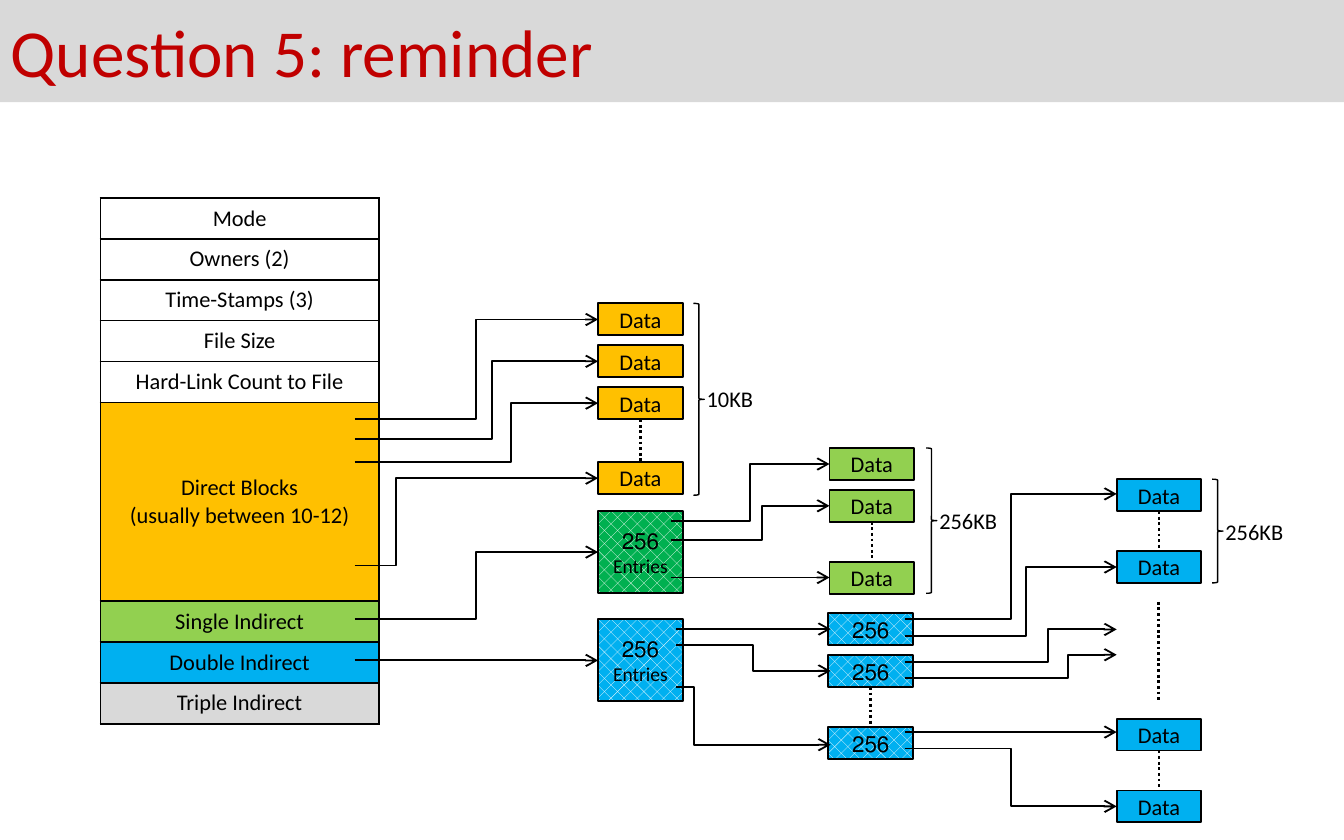
from lxml import etree
from pptx import Presentation
from pptx.dml.color import RGBColor
from pptx.enum.dml import MSO_LINE, MSO_PATTERN
from pptx.enum.shapes import MSO_CONNECTOR, MSO_SHAPE
from pptx.enum.text import MSO_ANCHOR, PP_ALIGN
from pptx.oxml.ns import qn
from pptx.util import Pt

RECT, BRACE = MSO_SHAPE.RECTANGLE, MSO_SHAPE.RIGHT_BRACE
STRAIGHT, ELBOW = MSO_CONNECTOR.STRAIGHT, MSO_CONNECTOR.ELBOW
DOTTED, LATTICE = MSO_LINE.ROUND_DOT, MSO_PATTERN.PERCENT_30
LEFT, CENTER, MIDDLE = PP_ALIGN.LEFT, PP_ALIGN.CENTER, MSO_ANCHOR.MIDDLE

BLACK, WHITE, GRAY, RED = "000000", "FFFFFF", "D9D9D9", "C00000"
ORANGE, LIME, GREEN, BLUE = "FFC000", "92D050", "00B050", "00B0F0"
FONT = "Calibri"

TITLE = "Question 5: reminder"

# label, fill
INODE_FIELDS = [
    ("Mode", WHITE),
    ("Owners (2)", WHITE),
    ("Time-Stamps (3)", WHITE),
    ("File Size", WHITE),
    ("Hard-Link Count to File", WHITE),
    ("Direct Blocks\n(usually between 10-12)", ORANGE),
    ("Single Indirect", LIME),
    ("Double Indirect", BLUE),
    ("Triple Indirect", GRAY),
]
INODE_LEFT, INODE_TOP, INODE_WIDTH = 53.8, 106.1, 149.2
FIELD_HEIGHT, DIRECT_HEIGHT = 21.9, 106.6

BLOCK_WIDTH, BLOCK_HEIGHT, INDEX_HEIGHT = 45.4, 17.1, 44
INDEX_LEFT = 320.4

# top, fill
INDEX_BLOCKS = [(273.7, GREEN), (331.8, BLUE)]

# label, left, fill, patterned, tops; a dotted line joins the last two blocks
BLOCK_COLUMNS = [
    ("Data", INDEX_LEFT, ORANGE, False, [162.5, 185, 207.5, 247.5]),
    ("Data", 444.4, LIME, False, [240, 262.4, 301]),
    ("256", 443.8, BLUE, True, [328.5, 351, 389.5]),
    ("Data", 598.2, BLUE, False, [256.7, 295.2]),
    ("Data", 598.2, BLUE, False, [385, 423.5]),
]
OMITTED_BLOCKS = (620.7, 322.4, 375)

# start x, end x, then (start y, bend x, end y); no bend on a level arrow
POINTERS = [
    (190, 320.4, [
        (224.5, 255, 171.2), (235.2, 263.7, 193.6), (247.6, 273.9, 216),
        (303, 212.3, 256.2), (331.8, 255, 295.8), (353.8, None, 353.8),
    ]),
    (359.7, 444.4, [
        (279.3, 402, 248.6), (289.4, 408.2, 271), (309.4, None, 309.4),
    ]),
    (362.3, 445, [
        (337, None, 337), (345.6, 403.6, 359.4), (368, 372, 399),
    ]),
    (484.8, 598.2, [
        (331.8, 541.5, 264.6), (340.8, 549.7, 303.8), (354.8, 561.6, 337.2),
        (363.4, 572.4, 350.8), (392.2, None, 392.2), (401, 541.5, 432),
    ]),
]

# label, left, top, height, label top, label width
BRACES = [
    ("10KB", 371.5, 162.5, 102.8, 202.5, 45),
    ("256KB", 496.1, 240, 77.9, 268, 51),
    ("256KB", 649.4, 256.7, 55.6, 273.8, 51),
]


def rgb(color):
    """Turn a hex string into a colour."""
    return RGBColor.from_string(color)


def write(frame, text, size=12, color=BLACK, align=CENTER, anchor=MIDDLE,
          last_size=None, rtl=False):
    """Fill a text frame or cell frame, one paragraph for each line."""
    frame.word_wrap = True
    frame.vertical_anchor = anchor
    frame.text = text
    for paragraph in frame.paragraphs:
        paragraph.alignment = align
        font = paragraph.runs[0].font
        font.name, font.size, font.color.rgb = FONT, Pt(size), rgb(color)
        if rtl:
            paragraph._p.get_or_add_pPr().set("rtl", "1")
    if last_size:
        frame.paragraphs[-1].runs[0].font.size = Pt(last_size)


def draw(kind, left, top, width, height, fill=None, line=1, patterned=False):
    """Add a preset shape with a black outline, or none when line is 0."""
    shape = slide.shapes.add_shape(kind, Pt(left), Pt(top), Pt(width), Pt(height))
    shape.shadow.inherit = False
    if patterned:
        shape.fill.patterned()
        shape.fill.pattern = LATTICE
        shape.fill.fore_color.rgb = rgb(WHITE)
        shape.fill.back_color.rgb = rgb(fill)
    elif fill:
        shape.fill.solid()
        shape.fill.fore_color.rgb = rgb(fill)
    else:
        shape.fill.background()
    if line:
        shape.line.color.rgb = rgb(BLACK)
        shape.line.width = Pt(line)
    else:
        shape.line.fill.background()
    return shape


def block(text, left, top, height, fill, patterned, **text_format):
    """Add one disk block with its label."""
    frame = draw(RECT, left, top, BLOCK_WIDTH, height, fill,
                 patterned=patterned).text_frame
    frame.margin_left = frame.margin_right = 0
    frame.margin_top = frame.margin_bottom = 0
    write(frame, text, rtl=True, **text_format)


def connect(kind, x1, y1, x2, y2, width):
    """Add a black connector without a shadow."""
    link = slide.shapes.add_connector(kind, Pt(x1), Pt(y1), Pt(x2), Pt(y2))
    link.line.color.rgb = rgb(BLACK)
    link.line.width = Pt(width)
    etree.SubElement(link._element.spPr, qn("a:effectLst"))
    return link


def pointer(x1, y1, bend, x2, y2):
    """Add an arrow that turns at the bend, if there is one."""
    link = connect(ELBOW if bend else STRAIGHT, x1, y1, x2, y2, 1)
    etree.SubElement(link.line._get_or_add_ln(), qn("a:tailEnd"), type="arrow")
    if bend:
        geometry = link._element.spPr.find(qn("a:prstGeom"))
        ratio = round((bend - x1) / (x2 - x1) * 100000)
        etree.SubElement(geometry.find(qn("a:avLst")), qn("a:gd"),
                         name="adj1", fmla=f"val {ratio}")


def dots(x, top, bottom):
    """Add a vertical dotted line for blocks left out."""
    connect(STRAIGHT, x, top, x, bottom, 1.5).line.dash_style = DOTTED


def border(cell):
    """Give a table cell thin black borders."""
    properties = cell._tc.get_or_add_tcPr()
    for side in ("lnL", "lnR", "lnT", "lnB"):
        edge = etree.SubElement(properties, qn(f"a:{side}"), w=str(Pt(1)))
        paint = etree.SubElement(edge, qn("a:solidFill"))
        etree.SubElement(paint, qn("a:srgbClr"), val=BLACK)


def inode_table():
    """Add the table of inode fields."""
    heights = [DIRECT_HEIGHT if "\n" in label else FIELD_HEIGHT
               for label, _ in INODE_FIELDS]
    inode = slide.shapes.add_table(
        len(INODE_FIELDS), 1, Pt(INODE_LEFT), Pt(INODE_TOP),
        Pt(INODE_WIDTH), Pt(sum(heights))).table
    inode.first_row = inode.horz_banding = False
    for row, height, (label, fill) in zip(inode.rows, heights, INODE_FIELDS):
        row.height = Pt(height)
        cell = row.cells[0]
        border(cell)
        cell.fill.solid()
        cell.fill.fore_color.rgb = rgb(fill)
        write(cell.text_frame, label)
        cell.vertical_anchor = MIDDLE


deck = Presentation()
deck.slide_width, deck.slide_height = Pt(720), Pt(450)
slide = deck.slides.add_slide(deck.slide_layouts[6])

banner = draw(RECT, -1.4, 0, 721.4, 54.7, GRAY, line=0)
write(banner.text_frame, TITLE, size=36, color=RED, align=LEFT)
inode_table()

for top, fill in INDEX_BLOCKS:
    block("256\nEntries", INDEX_LEFT, top, INDEX_HEIGHT, fill, True, last_size=10.5)

for label, left, fill, patterned, tops in BLOCK_COLUMNS:
    for top in tops:
        block(label, left, top, BLOCK_HEIGHT, fill, patterned)
    dots(left + BLOCK_WIDTH / 2, tops[-2] + BLOCK_HEIGHT, tops[-1])
dots(*OMITTED_BLOCKS)

for start_x, end_x, routes in POINTERS:
    for start_y, bend, end_y in routes:
        pointer(start_x, start_y, bend, end_x, end_y)

for label, left, top, height, label_top, label_width in BRACES:
    draw(BRACE, left, top, 5.8, height, line=0.75)
    size_note = slide.shapes.add_textbox(Pt(left), Pt(label_top), Pt(label_width), Pt(21.8))
    write(size_note.text_frame, label, align=LEFT)

deck.save("out.pptx")
